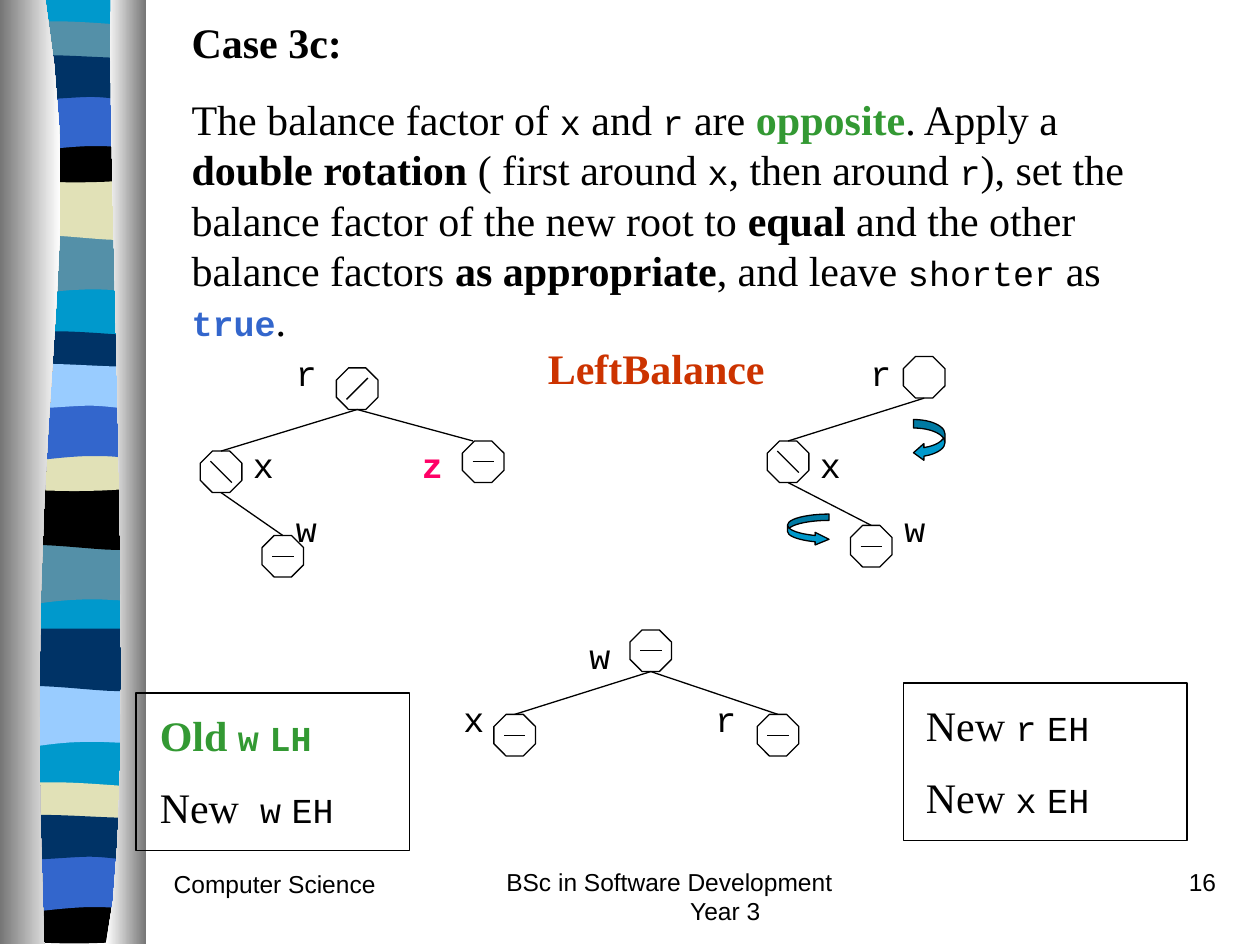
"""Build the Case 3c slide on double rotation in LeftBalance."""
import pptx
import pptx.dml.color
import pptx.enum.shapes
import pptx.enum.text
import pptx.oxml
import pptx.oxml.ns
import pptx.util

Inches, Pt, RGB = pptx.util.Inches, pptx.util.Pt, pptx.dml.color.RGBColor
KIND, LINE = pptx.enum.shapes.MSO_SHAPE, pptx.enum.shapes.MSO_CONNECTOR.STRAIGHT
ALIGN = pptx.enum.text.PP_ALIGN
BLACK, WHITE, GREY = RGB(0, 0, 0), RGB(255, 255, 255), RGB(0x76, 0x76, 0x76)
GREEN, BLUE = RGB(0x33, 0x99, 0x33), RGB(0x33, 0x66, 0xCC)
RED, PINK = RGB(0xCC, 0x33, 0), RGB(0xFF, 0, 0x66)
CYAN, TEAL, NAVY = RGB(0, 0x99, 0xCC), RGB(0x54, 0x90, 0xA8), RGB(0, 0x33, 0x66)
SAND, SKY = RGB(0xE1, 0xE1, 0xB7), RGB(0x99, 0xCC, 0xFF)

SERIF = ("Times New Roman", 24, False, BLACK)
BOLD = ("Times New Roman", 24, True, BLACK)
GOOD = ("Times New Roman", 24, True, GREEN)
HEAD = ("Times New Roman", 24, True, RED)
MONO = ("Courier New", 20, False, BLACK)
LEAF = ("Courier New", 20, True, GREEN)
TRUE = ("Courier New", 20, True, BLUE)
MARK = ("Courier New", 20, True, PINK)
FOOT = ("Arial", 14, False, BLACK)


def write(shape, box, paras, align=ALIGN.LEFT):
    shape.left, shape.top, shape.width, shape.height = map(Inches, box)
    frame = shape.text_frame
    frame.word_wrap = True
    frame.auto_size = pptx.enum.text.MSO_AUTO_SIZE.NONE
    frame.vertical_anchor = pptx.enum.text.MSO_ANCHOR.TOP
    for i, (gap, runs) in enumerate(paras):
        para = frame.add_paragraph() if i else frame.paragraphs[0]
        props = para._p.get_or_add_pPr()
        props.set("marL", "0")
        props.set("indent", "0")
        props.append(pptx.oxml.parse_xml(f'<a:buNone {pptx.oxml.ns.nsdecls("a")}/>'))
        para.alignment, para.space_before = align, Pt(gap)
        for text, (face, size, bold, color) in runs:
            run = para.add_run()
            run.text = text
            run.font.name, run.font.size, run.font.bold = face, Pt(size), bold
            run.font.color.rgb = color
    return frame


def trace(shapes, steps, left=0, top=0):
    x, y = steps[0]
    points = []
    for step in steps[1:]:
        if len(step) == 2:
            points.append(step)
        else:
            a, b, c, d, e, f = step
            for t in (n / 12 for n in range(1, 13)):
                s = 1 - t
                points.append((s**3 * x + 3 * s * s * t * a + 3 * s * t * t * c + t**3 * e,
                               s**3 * y + 3 * s * s * t * b + 3 * s * t * t * d + t**3 * f))
        x, y = points[-1]
    path = shapes.build_freeform(Inches(left + steps[0][0]), Inches(top + steps[0][1]))
    path.add_line_segments([(Inches(left + u), Inches(top + v)) for u, v in points])
    shape = path.convert_to_shape()
    shape.shadow.inherit = False
    shape.line.fill.background()
    return shape


deck = pptx.Presentation()
deck.slide_width, deck.slide_height = Inches(10), Inches(7.5)
slide = deck.slides.add_slide(deck.slide_layouts[1])
shapes = slide.shapes

WAVES = [
    [(1.08, 0), (1.08, 0.47), (0.33, 0.39, 0.18, 0.55, 0, 0.47), (0, 0)],
    [(1.08, 0), (1.08, 0.47), (0.9, 0.55, 0.33, 0.41, 0, 0.47), (0, 0)],
    [(1.08, 0.05), (1.08, 0.29), (0.9, 0.34, 0.18, 0.34, 0, 0.29), (0, 0.05),
     (0.07, 0, 0.23, 0.01, 0.41, 0.01), (0.59, 0.01, 0.94, 0.04, 1.08, 0.05)],
    [(1.08, 0), (1.08, 0.33), (0.9, 0.38, 0.18, 0.38, 0, 0.33), (0, 0),
     (0.66, 0.05, 0.85, 0, 1.08, 0)],
    [(1.08, 0), (1.08, 0.47), (0.91, 0.42, 0.84, 0.42, 0.66, 0.42),
     (0.48, 0.42, 0.16, 0.47, 0, 0.47), (0, 0)],
    [(1.08, 0.05), (1.08, 0.36), (1.01, 0.41, 0.84, 0.36, 0.66, 0.36),
     (0.48, 0.36, 0.11, 0.41, 0, 0.36), (0, 0.05), (0.15, 0, 0.73, 0.05, 0.91, 0.05)],
]
BANDS = [
    (0.06, (1.85, 1.41, 0.16, 1.08, 0.74, 0.41), (TEAL, SAND, TEAL, BLACK, BLUE, NAVY)),
    (0.05, (4.31, 3.87, 2.62, 3.53, 3.2, 2.86), (TEAL, BLACK, NAVY, SAND, BLUE, SKY)),
    (0.05, (5.44, 4.99, 6.2, 7.12, 6.78, 6.44), (SKY, NAVY, SAND, BLACK, BLUE, NAVY)),
]
strip = shapes.add_group_shape().shapes
base = trace(strip, [(0.06, 0), (1.14, 0), (1.14, 7.47), (0.06, 7.47)])
base.fill.solid()
base.fill.fore_color.rgb = CYAN
for left, tops, colors in BANDS:
    for wave, top, color in zip(WAVES, tops, colors):
        band = trace(strip, wave, left, top)
        band.fill.solid()
        band.fill.fore_color.rgb = color
EDGES = [
    ([(0.36, 0), (0.71, 2.16, 0.17, 2.96, 0.35, 7.49), (0, 7.49), (0, 0)], GREY, WHITE),
    ([(0.88, 0), (0.84, 1.25, 1.11, 6.46, 0.84, 7.49), (1.16, 7.49), (1.16, 0)], WHITE, GREY),
]
for steps, first, last in EDGES:
    edge = trace(strip, steps)
    edge.fill.gradient()
    edge.fill.gradient_angle = 0
    for stop, color in zip(edge.fill.gradient_stops, (first, last)):
        stop.color.rgb = color

write(shapes.title, (1.42, 0.08, 7.92, 0.5), [(0, [("Case 3c:", BOLD)])])
write(slide.placeholders[1], (1.42, 0.69, 7.92, 2.1), [(0, [
    ("The balance factor of ", SERIF), ("x", MONO), (" and ", SERIF), ("r", MONO),
    (" are ", SERIF), ("opposite", GOOD), (". Apply a ", SERIF), ("double rotation", BOLD),
    (" ( first around ", SERIF), ("x", MONO), (", then around ", SERIF), ("r", MONO),
    ("), set the balance factor of the new root to ", SERIF), ("equal", BOLD),
    (" and the other balance factors ", SERIF), ("as appropriate", BOLD),
    (", and leave ", SERIF), ("shorter", MONO), (" as ", SERIF), ("true", TRUE),
    (".", SERIF)])])

NODES = {
    "r1": (2.67, 2.92, -1), "x1": (1.59, 3.58, 1), "z1": (3.67, 3.5, 0), "w1": (2.08, 4.25, 0),
    "r2": (7.17, 2.83, None), "x2": (6.09, 3.5, 1), "w2": (6.75, 4.17, 0),
    "w3": (5, 5, 0), "x3": (3.92, 5.67, 0), "r3": (6.01, 5.67, 0),
}
LINKS = [("r1", "x1", 0), ("r1", "z1", -0.08), ("x1", "w1", 0), ("r2", "x2", 0),
         ("x2", "w2", 0), ("w3", "x3", 0), ("w3", "r3", 0)]
SIZE, HALF, ARM = 0.33, 0.165, 0.085
lines = []
for left, top, slope in NODES.values():
    node = shapes.add_shape(KIND.OCTAGON, *map(Inches, (left, top, SIZE, SIZE)))
    node.shadow.inherit = False
    node.fill.background()
    node.line.color.rgb, node.line.width = BLACK, Pt(0.75)
    if slope is not None:
        x, y = left + HALF, top + HALF
        lines.append((x - ARM, y - slope * ARM, x + ARM, y + slope * ARM))
for above, below, shift in LINKS:
    a, b = NODES[above], NODES[below]
    lines.append((a[0] + HALF, a[1] + SIZE, b[0] + HALF + shift, b[1]))
for ends in lines:
    link = shapes.add_connector(LINE, *map(Inches, ends))
    link.line.color.rgb, link.line.width = BLACK, Pt(0.75)
    link._element.spPr.append(
        pptx.oxml.parse_xml(f'<a:effectLst {pptx.oxml.ns.nsdecls("a")}/>'))

TURNS = [(KIND.CURVED_LEFT_ARROW, (7.25, 3.33, 0.25, 0.33), (0.27, 0.53, 0.33)),
         (KIND.CURVED_RIGHT_ARROW, (6.25, 4.08, 0.33, 0.25), (0.2, 0.4, 0.44))]
for kind, box, bends in TURNS:
    turn = shapes.add_shape(kind, *map(Inches, box))
    turn.shadow.inherit = False
    turn.fill.solid()
    turn.fill.fore_color.rgb = CYAN
    turn.line.color.rgb, turn.line.width = BLACK, Pt(0.75)
    for i, bend in enumerate(bends):
        turn.adjustments[i] = bend

FRAMES = [(1.08, 5.5, 2.17, 1.25), (7.17, 5.42, 2.25, 1.25)]
for box in FRAMES:
    rect = shapes.add_shape(KIND.RECTANGLE, *map(Inches, box))
    rect.shadow.inherit = False
    rect.fill.background()
    rect.line.color.rgb, rect.line.width = BLACK, Pt(0.75)

LABELS = [
    (2.74, [("r", 2.25, MONO), ("r", 6.81, MONO)]),
    (3.47, [("x", 1.91, MONO), ("z", 3.25, MARK), ("x", 6.41, MONO)]),
    (3.98, [("w", 2.25, MONO), ("w", 7.08, MONO)]),
    (4.99, [("w", 4.58, MONO)]),
    (5.49, [("x", 3.58, MONO), ("r", 5.58, MONO)]),
]
TEXTS = [((left, top, 0.4, 0.4), ALIGN.LEFT, [(0, [(name, style)])])
         for top, row in LABELS for name, left, style in row]
TEXTS += [
    ((4.25, 2.67, 2, 0.5), ALIGN.LEFT, [(0, [("LeftBalance", HEAD)])]),
    ((1.17, 5.58, 2, 1.08), ALIGN.LEFT, [
        (0, [("Old ", GOOD), ("w", LEAF), (" ", GOOD), ("LH", LEAF)]),
        (12.5, [("New  ", SERIF), ("w", MONO), (" ", SERIF), ("EH", MONO)])]),
    ((7.25, 5.5, 2.08, 1.08), ALIGN.LEFT, [
        (gap, [("New ", SERIF), (name, MONO), (" ", SERIF), ("EH", MONO)])
        for gap, name in ((0, "r"), (12.5, "x"))]),
    ((1.28, 6.85, 2.08, 0.5), ALIGN.LEFT, [(0, [("Computer Science", FOOT)])]),
    ((7.67, 6.83, 2.08, 0.5), ALIGN.RIGHT, [(0, [("16", FOOT)])]),
    ((3.92, 6.83, 3.17, 0.5), ALIGN.LEFT, [
        (0, [("BSc in Software Development Year 3", FOOT)])]),
]
for box, align, paras in TEXTS:
    frame = write(shapes.add_textbox(*map(Inches, box)), box, paras, align)
course = frame.paragraphs[0]._p.get_or_add_pPr()
course.set("marL", str(Inches(1.46)))
course.set("indent", str(-Inches(1.46)))

deck.save("out.pptx")
